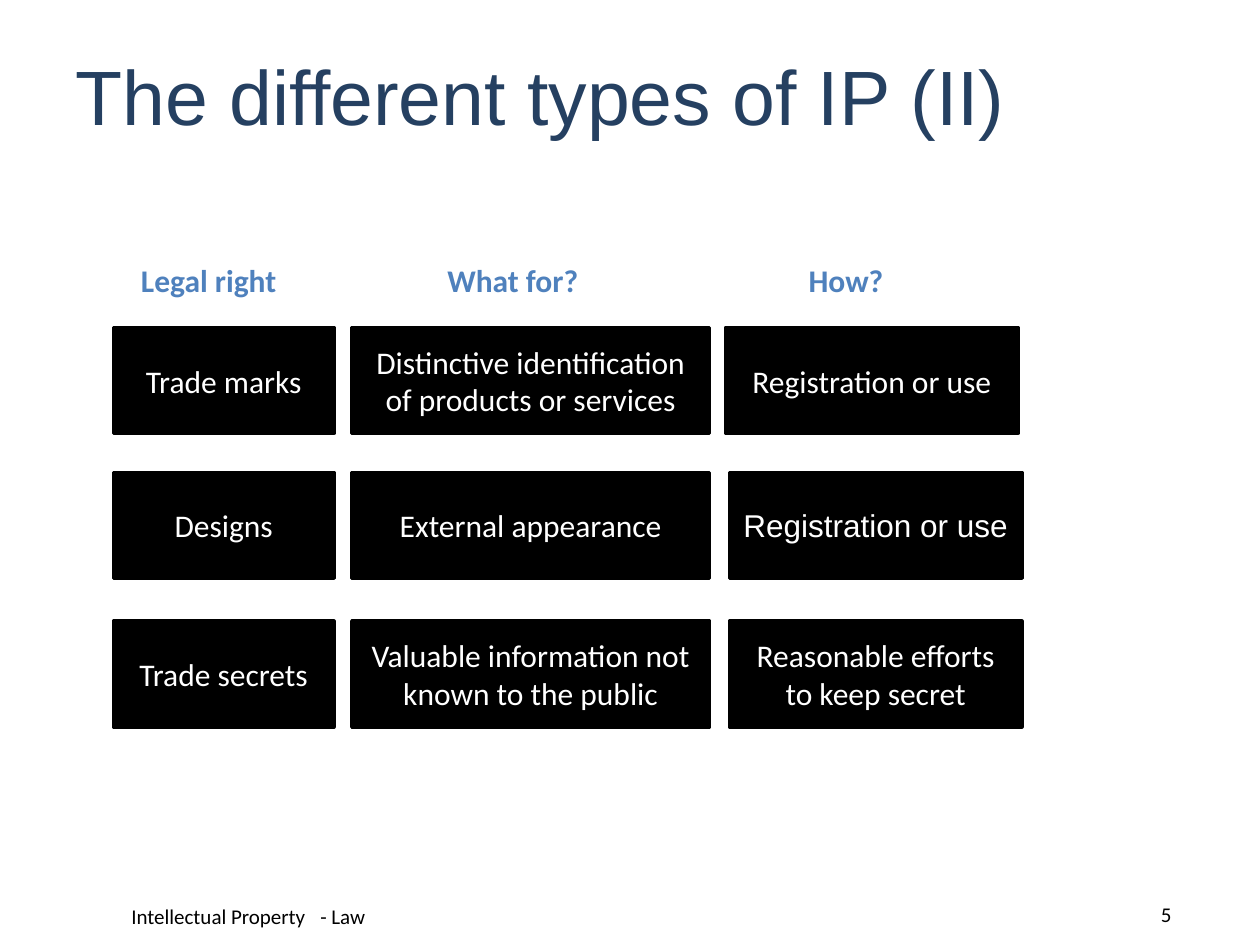
from lxml import etree
from pptx import Presentation
from pptx.dml.color import RGBColor
from pptx.enum import shapes, text
from pptx.oxml import ns
from pptx.util import Pt

NAVY = RGBColor(0x25, 0x40, 0x61)
BLUE = RGBColor(0x4F, 0x81, 0xBD)
BLACK = RGBColor(0, 0, 0)
WHITE = RGBColor(255, 255, 255)

TITLE = "The different types of IP (II)"
FOOTER = "Intellectual Property\t- Law"
PAGE_NUMBER = "5"

# Heading, left, width, wraps
HEADINGS = [
    ("Legal right", 73.5, 108, True),
    ("What for?", 248.5, 98.5, False),
    ("How?", 455, 63.5, False),
]
# Top, then one text per column
ROWS = [
    (187.2, ["Trade marks", "Distinctive identification of products or services",
             "Registration or use"]),
    (270, ["Designs", "External appearance", "Registration or use"]),
    (355, ["Trade secrets", "Valuable information not known to the public",
           "Reasonable efforts to keep secret"]),
]
COLUMNS = [(64.8, 126), (201, 204.5), (416.9, 167)]  # left, width
CELL_HEIGHT = 60.5
FIRST_ROW_SHIFT = -2.2  # the last cell of the first row sits further left
ARIAL_CELL = (1, 2)


def style(paragraph, size, color, name="Calibri", bold=False,
          align=text.PP_ALIGN.LEFT):
    paragraph.alignment = align
    font = paragraph.font
    font.size, font.name, font.bold = Pt(size), name, bold
    font.color.rgb = color


def add_text(page, words, place, size, color, inset=None, wrap=True,
             anchor=text.MSO_ANCHOR.TOP, **options):
    box = page.shapes.add_textbox(*map(Pt, place))
    frame = box.text_frame
    frame.word_wrap = wrap
    frame.vertical_anchor = anchor
    if inset is not None:
        frame.margin_left = Pt(inset)
        frame.margin_top = frame.margin_right = frame.margin_bottom = 0
    para = frame.paragraphs[0]
    para.text = words
    style(para, size, color, **options)
    return box


def add_cell(page, words, place, name):
    box = page.shapes.add_shape(shapes.MSO_SHAPE.RECTANGLE, *map(Pt, place))
    box.shadow.inherit = False
    box.fill.solid()
    box.fill.fore_color.rgb = BLACK
    box.line.color.rgb = BLACK
    box.line.width = Pt(2)
    frame = box.text_frame
    frame.word_wrap = True
    frame.vertical_anchor = text.MSO_ANCHOR.MIDDLE
    para = frame.paragraphs[0]
    para.text = words
    style(para, 18, WHITE, name, align=text.PP_ALIGN.CENTER)


def add_footer(page):
    box = add_text(page, "", (48, 516.2, 425.5, 22), 12, BLACK, inset=27)
    para = box.text_frame.paragraphs[0]
    properties = para._p.get_or_add_pPr()
    for old in list(properties):
        properties.remove(old)
    tabs = etree.SubElement(properties, ns.qn("a:tabLst"))
    etree.SubElement(tabs, ns.qn("a:tab"), pos=str(Pt(108)), algn="l")
    para.text = FOOTER
    style(para, 12, BLACK)


def main():
    deck = Presentation()
    deck.slide_width, deck.slide_height = Pt(720), Pt(540)
    page = deck.slides.add_slide(deck.slide_layouts[6])

    # Title
    add_text(page, TITLE, (36, 21.6, 648, 64.8), 44, NAVY, name="Arial",
             anchor=text.MSO_ANCHOR.MIDDLE)

    # Column headings
    for words, left, width, wrap in HEADINGS:
        box = add_text(page, words, (left, 145.5, width, 29), 18, BLUE,
                       wrap=wrap, bold=True)
        box.text_frame.auto_size = text.MSO_AUTO_SIZE.SHAPE_TO_FIT_TEXT

    # Grid of rights
    for row, (top, cells) in enumerate(ROWS):
        for column, (words, (left, width)) in enumerate(zip(cells, COLUMNS)):
            if (row, column) == (0, 2):
                left += FIRST_ROW_SHIFT
            name = "Arial" if (row, column) == ARIAL_CELL else "Calibri"
            add_cell(page, words, (left, top, width, CELL_HEIGHT), name)

    # Footer and page number
    add_footer(page)
    add_text(page, PAGE_NUMBER, (610, 514, 59.5, 17.3), 12, BLACK, inset=0,
             anchor=text.MSO_ANCHOR.MIDDLE, align=text.PP_ALIGN.RIGHT)

    deck.save("out.pptx")


if __name__ == "__main__":
    main()
